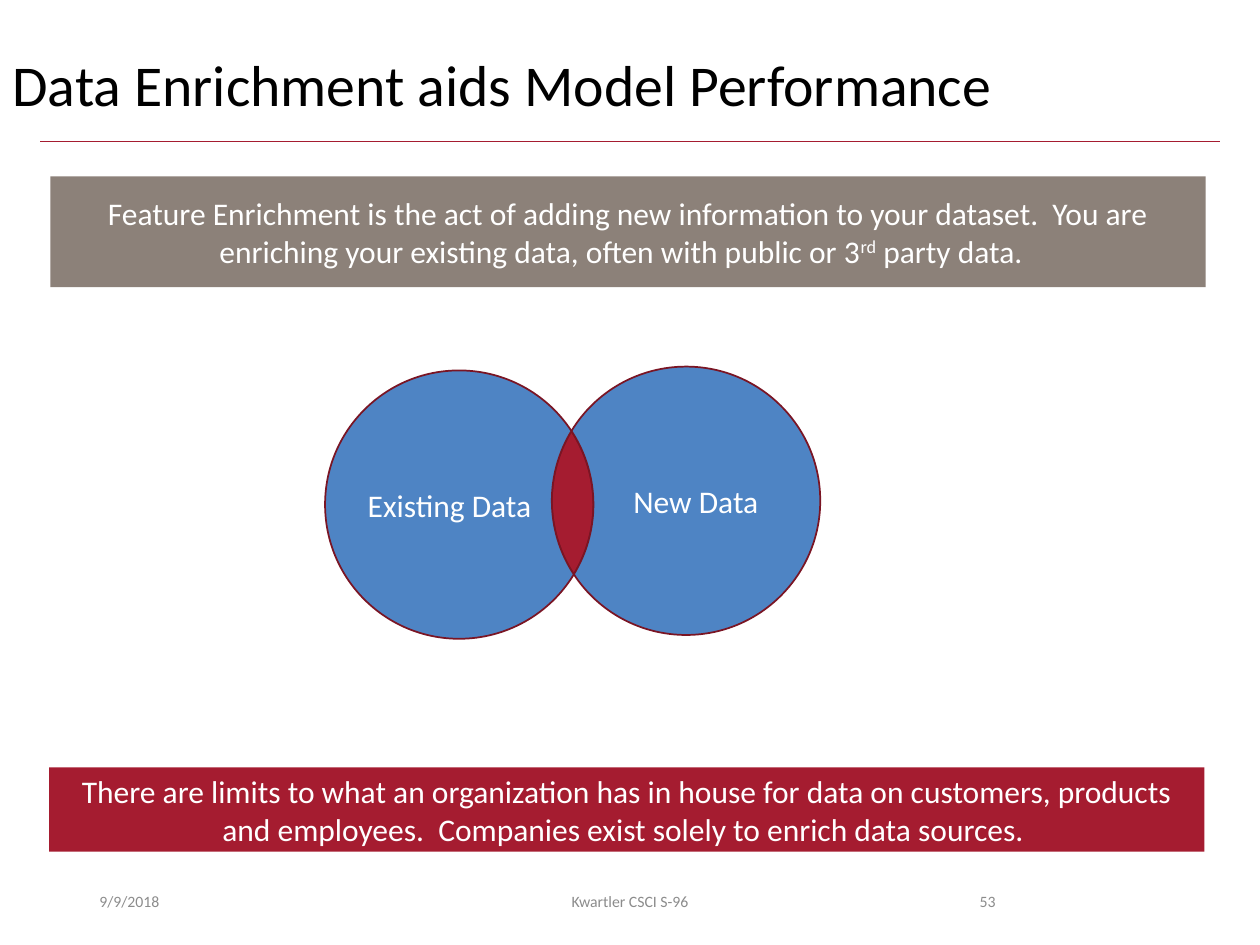
"""Build the data enrichment slide with its two-circle Venn diagram."""
import math
from lxml import etree
from pptx import Presentation
from pptx import util as u
from pptx.dml.color import RGBColor
from pptx.enum import shapes, text
from pptx.oxml.ns import qn

HUES = {"red": "A51C30", "edge": "7A1524", "blue": "4E84C4", "taupe": "8C8179",
        "white": "FFFFFF", "black": "000000", "gray": "8C8C8C"}
LEFT, MID, RIGHT = text.PP_ALIGN.LEFT, text.PP_ALIGN.CENTER, text.PP_ALIGN.RIGHT
TITLE = ("Data Enrichment aids Model Performance", (0, 0.4, 9.31, 0.65))
FOOT = [("9/9/2018", (0.69, 6.95, 2.25, 0.4), LEFT),
        ("53", (7.06, 6.95, 0.94, 0.4), RIGHT),
        ("Kwartler CSCI S-96", (3.31, 6.95, 3.38, 0.4), MID)]
BANDS = [
    ([("Feature Enrichment is the act of adding new information to your dataset.  "
       "You are enriching your existing data, often with public or 3", False),
      ("rd", True), (" party data.  ", False)], (0.4, 1.4, 9.17, 0.88), "taupe"),
    ([("There are limits to what an organization has in house for data on customers, "
       "products and employees.  Companies exist solely to enrich data sources. ",
       False)], (0.39, 6.09, 9.17, 0.67), "red")]
RULE = (0.32, 1.12, 9.68, 1.12)
SPAN = 2.13
RAD = SPAN / 2
OLD, NEW = [(x + RAD, y + RAD) for x, y in ((2.58, 2.94), (4.38, 2.91))]


def tint(name):
    return RGBColor.from_string(HUES[name])


def write(shape, runs, size, hue, align=MID, anchor=text.MSO_ANCHOR.MIDDLE):
    frame = shape.text_frame
    frame.word_wrap = True
    frame.vertical_anchor = anchor
    para = frame.paragraphs[0]
    para.alignment = align
    para.font.size, para.font.name = u.Pt(size), "Calibri"
    para.font.color.rgb = tint(hue)
    for words, raised in runs:
        run = para.add_run()
        run.text = words
        if raised:
            run._r.get_or_add_rPr().set("baseline", "30000")
    return para


def paint(shape, fill, edge=None):
    shape.shadow.inherit = False
    shape.fill.solid()
    shape.fill.fore_color.rgb = tint(fill)
    if edge:
        shape.line.color.rgb = tint(edge)
        shape.line.width = u.Pt(1)
    else:
        shape.line.fill.background()


def spot(hub, turn, pull=0):
    cos, sin = math.cos(turn), math.sin(turn)
    return (u.Inches(hub[0] + RAD * (cos - pull * sin)),
            u.Inches(hub[1] + RAD * (sin + pull * cos)))


def arc(hub, start, end):
    """Split an arc at the quarter turns into cubic curves."""
    low, high = sorted((start, end))
    quarter = math.pi / 2
    cuts = [n * quarter for n in range(-4, 13) if low < n * quarter < high]
    stops = sorted([start, *cuts, end], reverse=start > end)
    curves = []
    for a, b in zip(stops, stops[1:]):
        pull = 4 / 3 * math.tan((b - a) / 4)
        curves.append((spot(hub, a, pull), spot(hub, b, -pull), spot(hub, b)))
    return curves


def region(slide, arcs, fill, label):
    curves = [curve for part in arcs for curve in arc(*part)]
    pen = slide.shapes.build_freeform(*spot(*arcs[0][:2]))
    pen.add_line_segments([curve[2] for curve in curves], close=True)
    shape = pen.convert_to_shape()
    lines = list(shape._element.iter(qn("a:lnTo")))
    for line, curve in zip(lines, curves):
        bend = etree.Element(qn("a:cubicBezTo"))
        for x, y in curve:
            etree.SubElement(bend, qn("a:pt"), x=str(x - shape.left),
                             y=str(y - shape.top))
        line.getparent().replace(line, bend)
    paint(shape, fill, "edge")
    if label:
        write(shape, [(label, False)], 18, "white")


def venn(slide):
    wide, tall = NEW[0] - OLD[0], NEW[1] - OLD[1]
    tilt = math.atan2(tall, wide)
    half = math.acos(math.hypot(wide, tall) / SPAN)
    low, high = tilt - half, tilt + half
    pi = math.pi
    parts = [
        ([(OLD, low, high), (NEW, pi + low, pi + high)], "red", ""),
        ([(NEW, pi + high, 3 * pi + low), (OLD, high, low)], "blue", "New Data"),
        ([(OLD, high, 2 * pi + low), (NEW, pi + high, pi + low)],
         "blue", "Existing Data")]
    for arcs, fill, label in parts:
        region(slide, arcs, fill, label)


def main():
    deck = Presentation()
    deck.slide_width, deck.slide_height = u.Inches(10), u.Inches(7.5)
    slide = deck.slides.add_slide(deck.slide_layouts[6])
    rule = slide.shapes.add_connector(
        shapes.MSO_CONNECTOR.STRAIGHT, *map(u.Inches, RULE))
    rule.line.color.rgb = tint("red")
    rule.line.width = u.Pt(0.5)
    etree.SubElement(rule._element.spPr, qn("a:effectLst"))

    words, place = TITLE
    box = slide.shapes.add_textbox(*map(u.Inches, place))
    head = write(box, [(words, False)], 33, "black", LEFT, text.MSO_ANCHOR.TOP)
    head.line_spacing = 0.9
    for words, place, align in FOOT:
        box = slide.shapes.add_textbox(*map(u.Inches, place))
        write(box, [(words, False)], 9, "gray", align)
    for runs, place, fill in BANDS:
        band = slide.shapes.add_shape(
            shapes.MSO_SHAPE.RECTANGLE, *map(u.Inches, place))
        paint(band, fill)
        write(band, runs, 18, "white")
    venn(slide)
    deck.save("out.pptx")


if __name__ == "__main__":
    main()
